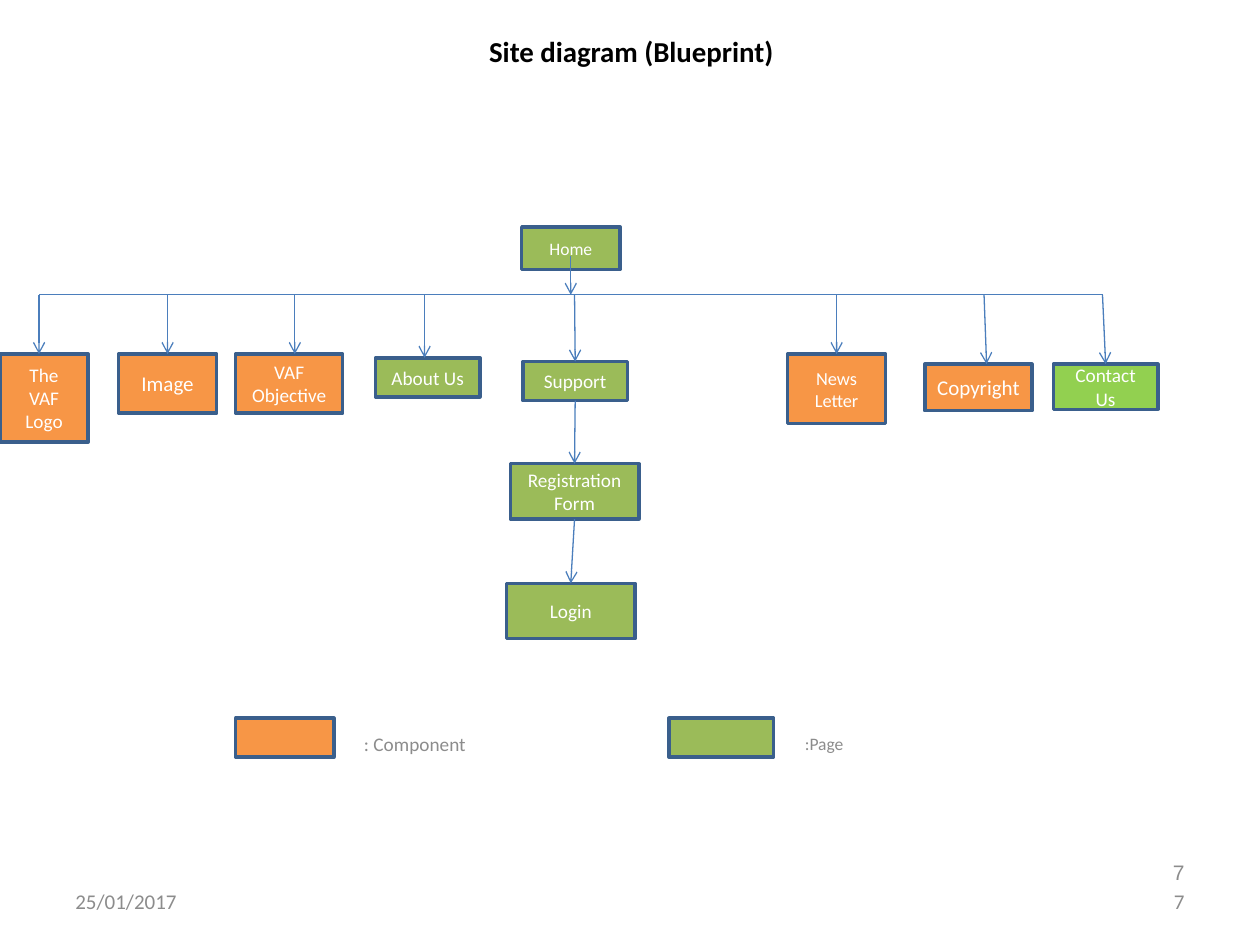
"""Build the site diagram slide: a page tree with a colour legend."""
from lxml import etree
from pptx import Presentation
from pptx.dml.color import RGBColor
from pptx.enum import shapes, text
from pptx.oxml.ns import qn
from pptx.util import Inches, Pt

PAGE = RGBColor(0x9B, 0xBB, 0x59)
CONTACT = RGBColor(0x92, 0xD0, 0x50)
COMPONENT = RGBColor(0xF7, 0x96, 0x46)
BORDER = RGBColor(0x3A, 0x5F, 0x8C)
LINK = RGBColor(0x4B, 0x7E, 0xBC)
GREY = RGBColor(0x8C, 0x8C, 0x8C)
WHITE = RGBColor(0xFF, 0xFF, 0xFF)
BLACK = RGBColor(0, 0, 0)
BUS_Y = 2.34

deck = Presentation()
deck.slide_width, deck.slide_height = Inches(10), Inches(7.5)
slide = deck.slides.add_slide(deck.slide_layouts[5])


def write(shape, words, size, color, align, font="Calibri"):
    frame = shape.text_frame
    frame.word_wrap = True
    frame.vertical_anchor = text.MSO_ANCHOR.MIDDLE
    paragraph = frame.paragraphs[0]
    paragraph.text = words
    paragraph.alignment = align
    paragraph.font.size = Pt(size)
    paragraph.font.name = font
    paragraph.font.color.rgb = color
    return frame


def link(x1, y1, x2, y2, arrow=True):
    line = slide.shapes.add_connector(
        shapes.MSO_CONNECTOR.STRAIGHT, Inches(x1), Inches(y1), Inches(x2), Inches(y2))
    line.line.color.rgb = LINK
    line.line.width = Pt(0.75)
    if arrow:
        etree.SubElement(line.line._get_or_add_ln(), qn("a:tailEnd"), type="arrow")
    etree.SubElement(line._element.spPr, qn("a:effectLst"))
    return line


title = slide.shapes.title
title.left, title.top, title.width, title.height = map(Inches, (0.51, 0.27, 9, 0.61))
heading = write(title, "Site diagram (Blueprint)", 16.5, BLACK, text.PP_ALIGN.CENTER)
heading.vertical_anchor = text.MSO_ANCHOR.TOP
heading.paragraphs[0].font.bold = True
heading.paragraphs[0].line_spacing = 0.8

for words, left, top, width, size, color, align, font in [
    ("25/01/2017", 0.5, 6.95, 2.33, 12, GREY, text.PP_ALIGN.LEFT, "Calibri"),
    ("7", 7.17, 6.95, 2.33, 12, GREY, text.PP_ALIGN.RIGHT, "Calibri"),
    ("7", 7.17, 6.72, 2.33, 12, GREY, text.PP_ALIGN.RIGHT, "Arial"),
    (": Component", 2.79, 5.7, 1.2, 11, GREY, text.PP_ALIGN.LEFT, "Calibri"),
    (":Page", 6.29, 5.7, 1.2, 10, GREY, text.PP_ALIGN.LEFT, "Calibri"),
]:
    label = slide.shapes.add_textbox(*map(Inches, (left, top, width, 0.4)))
    write(label, words, size, color, align, font)

nodes = {}
for words, left, top, width, height, fill, size in [
    ("Home", 4.14, 1.8, 0.78, 0.34, PAGE, 10),
    ("The VAF Logo", 0, 2.81, 0.7, 0.7, COMPONENT, 11),
    ("Image", 0.94, 2.81, 0.78, 0.47, COMPONENT, 12),
    ("VAF Objective", 1.87, 2.81, 0.85, 0.47, COMPONENT, 11),
    ("About Us", 2.98, 2.84, 0.83, 0.31, PAGE, 11),
    ("Support", 4.15, 2.87, 0.83, 0.31, PAGE, 11),
    ("News Letter", 6.25, 2.81, 0.78, 0.55, COMPONENT, 10.5),
    ("Copyright", 7.34, 2.89, 0.85, 0.37, COMPONENT, 12),
    ("Contact Us", 8.36, 2.89, 0.83, 0.36, CONTACT, 11),
    ("Registration Form", 4.05, 3.68, 1.02, 0.44, PAGE, 11),
    ("Login", 4.02, 4.63, 1.02, 0.44, PAGE, 11),
    ("", 1.87, 5.7, 0.78, 0.31, COMPONENT, 11),
    ("", 5.31, 5.7, 0.83, 0.31, PAGE, 11),
]:
    node = slide.shapes.add_shape(
        shapes.MSO_SHAPE.RECTANGLE, *map(Inches, (left, top, width, height)))
    node.shadow.inherit = False
    node.fill.solid()
    node.fill.fore_color.rgb = fill
    node.line.color.rgb = BORDER
    node.line.width = Pt(2)
    if words:
        frame = write(node, words, size, WHITE, text.PP_ALIGN.CENTER)
        frame.word_wrap = " " in words
        nodes[words] = node

link(0.31, BUS_Y, 8.75, BUS_Y, arrow=False)
link(4.53, 2.03, 4.53, BUS_Y)

for words, start, end, centred in [
    ("The VAF Logo", 0.31, 0.31, False),
    ("Image", 1.33, 1.33, True),
    ("VAF Objective", 2.34, 2.34, False),
    ("About Us", 3.37, 3.37, False),
    ("Support", 4.56, 4.56, True),
    ("News Letter", 6.64, 6.64, True),
    ("Copyright", 7.81, 7.83, False),
    ("Contact Us", 8.75, 8.77, True),
]:
    branch = link(start, BUS_Y, end, nodes[words].top / Inches(1))
    if centred:
        branch.end_connect(nodes[words], 0)

for parent, child in [("Support", "Registration Form"), ("Registration Form", "Login")]:
    step = link(4.56, 3.18, 4.56, 3.68)
    step.begin_connect(nodes[parent], 2)
    step.end_connect(nodes[child], 0)

deck.save("out.pptx")
